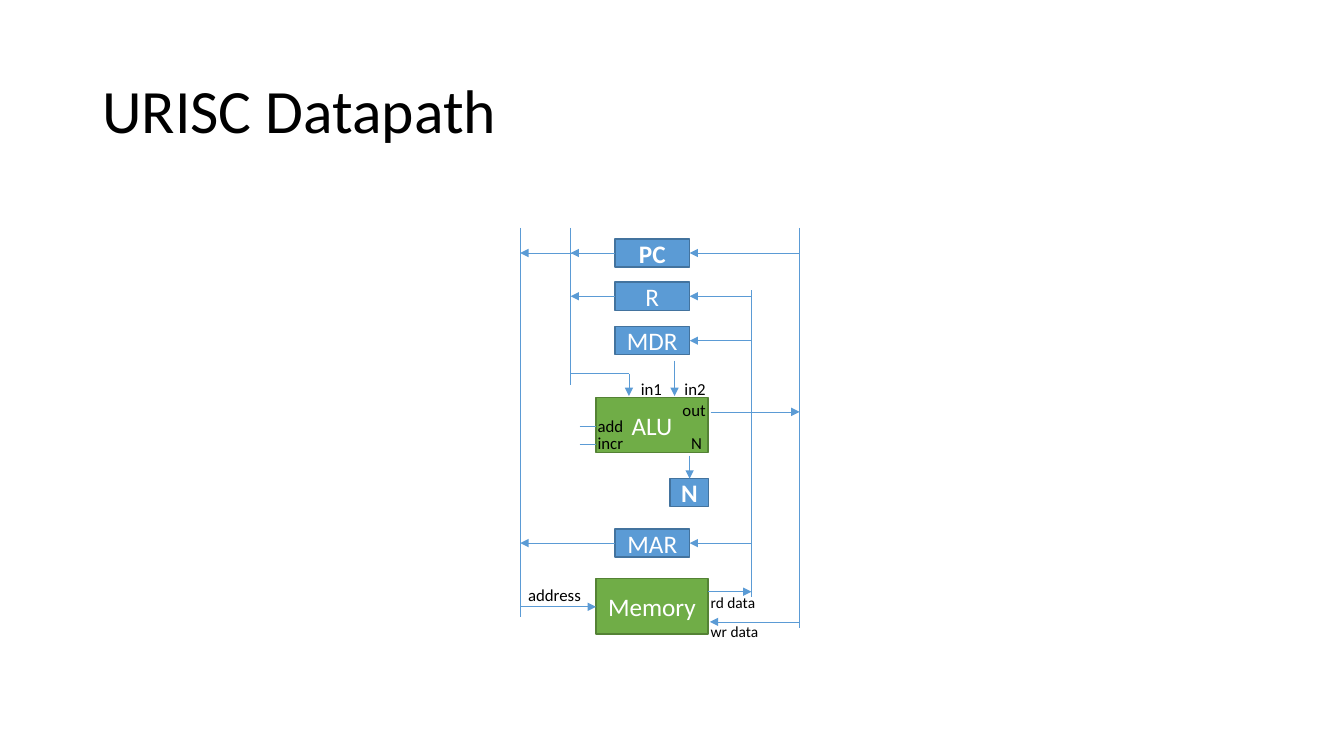
from lxml import etree
from pptx import Presentation
from pptx.dml.color import RGBColor
from pptx.enum.shapes import MSO_CONNECTOR, MSO_SHAPE
from pptx.enum.text import MSO_ANCHOR, PP_ALIGN
from pptx.oxml.ns import qn
from pptx.util import Cm, Pt

BLUE, BLUE_EDGE = "5B9BD5", "43739E"
GREEN, GREEN_EDGE = "70AD47", "548235"
BLACK, WHITE = "000000", "FFFFFF"

# Datapath columns, in cm from the left edge of its box
ADDRESS_BUS, INPUT_BUS, READ_BUS, RESULT_BUS = 0, 1.27, 5.83, 7.04
REGISTER_LEFT, REGISTER_WIDTH, REGISTER_HEIGHT = 2.39, 1.88, 0.71
REGISTER_RIGHT = REGISTER_LEFT + REGISTER_WIDTH
UNIT_LEFT, UNIT_WIDTH, UNIT_HEIGHT = 1.91, 2.82, 1.4
UNIT_RIGHT = UNIT_LEFT + UNIT_WIDTH
ALU_TOP, MEMORY_TOP, FLAG_TOP = 4.27, 8.84, 6.32
REGISTER_TOPS = {"PC": 0.28, "R": 1.37, "MDR": 2.49, "MAR": 7.59}


def color(hex_string):
    return RGBColor.from_string(hex_string)


def set_text(shape, text, size, font_color, bold=False):
    paragraph = shape.text_frame.paragraphs[0]
    paragraph.text = text
    paragraph.font.name = "Calibri"
    paragraph.font.size = Pt(size)
    paragraph.font.bold = bold
    paragraph.font.color.rgb = color(font_color)
    return paragraph


def add_title(slide, left, top, width, height, text):
    shape = slide.shapes.add_textbox(Cm(left), Cm(top), Cm(width), Cm(height))
    shape.text_frame.word_wrap = True
    shape.text_frame.vertical_anchor = MSO_ANCHOR.MIDDLE
    set_text(shape, text, 44, BLACK).line_spacing = 0.9


def add_block(slide, left, top, width, height, text, fill, edge, bold=False):
    shape = slide.shapes.add_shape(
        MSO_SHAPE.RECTANGLE, Cm(left), Cm(top), Cm(width), Cm(height))
    shape.shadow.inherit = False
    shape.fill.solid()
    shape.fill.fore_color.rgb = color(fill)
    shape.line.color.rgb = color(edge)
    shape.line.width = Pt(1)
    frame = shape.text_frame
    frame.margin_left = frame.margin_right = 0
    frame.margin_top = frame.margin_bottom = 0
    frame.vertical_anchor = MSO_ANCHOR.MIDDLE
    set_text(shape, text, 18, WHITE, bold).alignment = PP_ALIGN.CENTER


def add_wire(slide, start_x, start_y, end_x, end_y, arrow=False):
    wire = slide.shapes.add_connector(
        MSO_CONNECTOR.STRAIGHT, Cm(start_x), Cm(start_y), Cm(end_x), Cm(end_y))
    wire.line.color.rgb = color(BLUE)
    wire.line.width = Pt(0.5)
    if arrow:
        line = wire.line._get_or_add_ln()
        etree.SubElement(line, qn("a:tailEnd"), type="triangle")
    etree.SubElement(wire._element.spPr, qn("a:effectLst"))


def add_label(slide, left, top, width, text, size):
    shape = slide.shapes.add_textbox(Cm(left), Cm(top), Cm(width), Cm(0.76))
    shape.text_frame.word_wrap = False
    set_text(shape, text, size, BLACK)


def add_datapath(slide, left, top):
    # Registers, units and the flag
    for name, row in REGISTER_TOPS.items():
        add_block(slide, left + REGISTER_LEFT, top + row, REGISTER_WIDTH,
                  REGISTER_HEIGHT, name, BLUE, BLUE_EDGE, name == "PC")
    for name, row in (("ALU", ALU_TOP), ("Memory", MEMORY_TOP)):
        add_block(slide, left + UNIT_LEFT, top + row, UNIT_WIDTH, UNIT_HEIGHT,
                  name, GREEN, GREEN_EDGE)
    add_block(slide, left + 3.78, top + FLAG_TOP, 0.97, REGISTER_HEIGHT,
              "N", BLUE, BLUE_EDGE, True)

    # Vertical buses, the ALU input branch and control stubs
    plain_wires = [
        (ADDRESS_BUS, 0, ADDRESS_BUS, 9.8),
        (INPUT_BUS, 0, INPUT_BUS, 3.96),
        (READ_BUS, 1.57, READ_BUS, 9.3),
        (RESULT_BUS, 0, RESULT_BUS, 10.08),
        (INPUT_BUS, 3.68, 2.74, 3.68),
        (1.5, 5, UNIT_LEFT, 5),
        (1.5, 5.46, UNIT_LEFT, 5.46),
    ]

    # Arrows between registers and buses
    middle = {name: row + REGISTER_HEIGHT / 2
              for name, row in REGISTER_TOPS.items()}
    register_links = [("PC", RESULT_BUS), ("R", READ_BUS), ("MDR", READ_BUS),
                      ("MAR", READ_BUS)]
    register_outputs = [("PC", INPUT_BUS), ("PC", ADDRESS_BUS),
                        ("R", INPUT_BUS), ("MAR", ADDRESS_BUS)]
    arrows = [(bus, middle[name], REGISTER_RIGHT, middle[name])
              for name, bus in register_links]
    arrows += [(REGISTER_LEFT, middle[name], bus, middle[name])
               for name, bus in register_outputs]

    # Arrows at the ALU, the flag and the memory
    arrows += [
        (2.74, 3.68, 2.74, 4.24),
        (3.89, 3.35, 3.89, 4.24),
        (4.27, 5.74, 4.27, FLAG_TOP),
        (4.8, 4.64, RESULT_BUS, 4.64),
        (UNIT_RIGHT, 9.17, READ_BUS, 9.17),
        (RESULT_BUS, 9.93, 4.78, 9.93),
        (ADDRESS_BUS, 9.55, UNIT_LEFT, 9.55),
    ]
    for wires, arrow in ((plain_wires, False), (arrows, True)):
        for start_x, start_y, end_x, end_y in wires:
            add_wire(slide, left + start_x, top + start_y,
                     left + end_x, top + end_y, arrow)

    # Signal names
    for x, y, width, text, size in (
        (2.79, 3.68, 1.04, "in1", 12),
        (3.89, 3.68, 1.04, "in2", 12),
        (3.84, 4.22, 1.12, "out", 12),
        (1.7, 4.6, 1.17, "add", 12),
        (1.7, 5.03, 1.17, "incr", 12),
        (4.06, 5.03, 0.79, "N", 12),
        (-0.05, 8.86, 1.85, "address", 12),
        (4.55, 9.07, 1.65, "rd data", 11),
        (4.55, 9.8, 1.73, "wr data", 11),
    ):
        add_label(slide, left + x, top + y, width, text, size)


def main():
    presentation = Presentation()
    presentation.slide_width = Cm(33.87)
    presentation.slide_height = Cm(19.05)
    slide = presentation.slides.add_slide(presentation.slide_layouts[6])
    add_title(slide, 2.33, 1.01, 29.21, 3.68, "URISC Datapath")
    add_datapath(slide, 13.11, 5.74)
    presentation.save("out.pptx")


if __name__ == "__main__":
    main()
